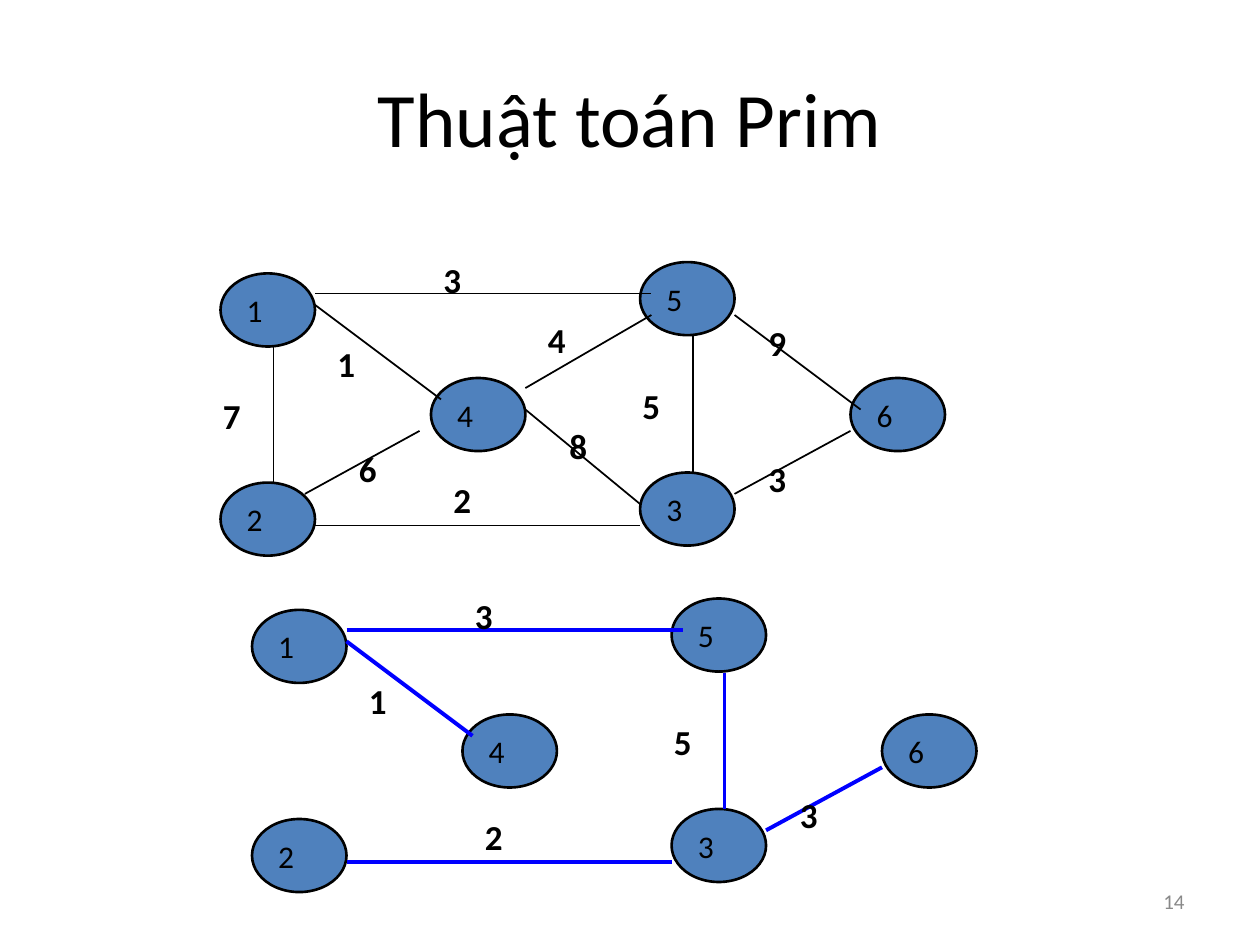
"""Build the slide on Prim's algorithm: a weighted graph and its spanning tree."""
from pptx import Presentation
from pptx.dml.color import RGBColor
from pptx.enum.shapes import MSO_CONNECTOR as Connector, MSO_SHAPE as Shape
from pptx.enum.text import MSO_ANCHOR as Anchor, MSO_AUTO_SIZE as AutoSize, PP_ALIGN as Align
from pptx.oxml.ns import qn
from pptx.util import Inches, Pt
from lxml.etree import SubElement


def color(hex_string):
    return RGBColor.from_string(hex_string)


def write_text(shape, text, size, fill="000000", bold=False, align=Align.LEFT,
               anchor=Anchor.MIDDLE, wrap=True, space_before=0):
    frame = shape.text_frame
    frame.word_wrap = wrap
    frame.vertical_anchor = anchor
    paragraph = frame.paragraphs[0]
    paragraph.alignment = align
    paragraph.space_before = Pt(space_before)
    run = paragraph.add_run()
    run.text = text
    run.font.name = "Calibri"
    run.font.size = Pt(size)
    run.font.bold = bold
    run.font.color.rgb = color(fill)


NODES = {"1": (1.75, 2.17), "2": (1.75, 3.83), "3": (5.08, 3.75),
         "5": (5.08, 2.08), "4": (3.42, 3), "6": (6.75, 3)}
# Each edge: weight, start, end, label corner
EDGES = {
    "1-2": ("7", (2.17, 2.75), (2.17, 3.83), (1.67, 3.08)),
    "2-4": ("6", (2.42, 3.92), (3.33, 3.42), (2.75, 3.5)),
    "3-5": ("5", (5.5, 2.67), (5.5, 3.75), (5, 3)),
    "4-5": ("4", (4.17, 3.08), (5.17, 2.5), (4.25, 2.48)),
    "1-4": ("1", (2.5, 2.42), (3.5, 3.17), (2.58, 2.67)),
    "3-4": ("8", (4.17, 3.25), (5.08, 4), (4.42, 3.32)),
    "1-5": ("3", (2.5, 2.33), (5.17, 2.33), (3.42, 2)),
    "2-3": ("2", (2.5, 4.17), (5.08, 4.17), (3.5, 3.75)),
    "5-6": ("9", (5.83, 2.5), (6.83, 3.25), (6, 2.5)),
    "3-6": ("3", (5.83, 3.92), (6.75, 3.42), (6, 3.58)),
}
TREE = ["1-4", "2-3", "1-5", "3-5", "3-6"]
DIAGRAMS = [(0, 0, EDGES, "000000", 1), (0.25, 2.67, TREE, "0000FF", 2.25)]

presentation = Presentation()
presentation.slide_width, presentation.slide_height = Inches(10), Inches(7.5)
slide = presentation.slides.add_slide(presentation.slide_layouts[5])

title = slide.shapes.title
title.left, title.top = Inches(0.5), Inches(0.3)
title.width, title.height = Inches(9), Inches(1.25)
write_text(title, "Thuật toán Prim", 44, align=Align.CENTER)

number = slide.shapes.add_textbox(Inches(7.17), Inches(6.95), Inches(2.33), Inches(0.4))
write_text(number, "14", 12, fill="898989", align=Align.RIGHT)

for shift_x, shift_y, edge_names, line_color, line_width in DIAGRAMS:
    for name, (x, y) in NODES.items():
        node = slide.shapes.add_shape(Shape.OVAL, Inches(x + shift_x), Inches(y + shift_y),
                                      Inches(0.75), Inches(0.58))
        node.shadow.inherit = False
        node.fill.solid()
        node.fill.fore_color.rgb = color("4F81BD")
        node.line.color.rgb = color("000000")
        node.line.width = Pt(1.5)
        write_text(node, name, 18, wrap=False)

    for edge_name in edge_names:
        weight, start, end, corner = EDGES[edge_name]
        edge = slide.shapes.add_connector(
            Connector.STRAIGHT, Inches(start[0] + shift_x), Inches(start[1] + shift_y),
            Inches(end[0] + shift_x), Inches(end[1] + shift_y))
        edge.line.color.rgb = color(line_color)
        edge.line.width = Pt(line_width)
        SubElement(edge._element.spPr, qn("a:effectLst"))

        label = slide.shapes.add_textbox(Inches(corner[0] + shift_x), Inches(corner[1] + shift_y),
                                         Inches(0.67), Inches(0.44))
        label.text_frame.auto_size = AutoSize.SHAPE_TO_FIT_TEXT
        write_text(label, weight, 20, bold=True, anchor=Anchor.TOP, space_before=12.5)

presentation.save("out.pptx")
